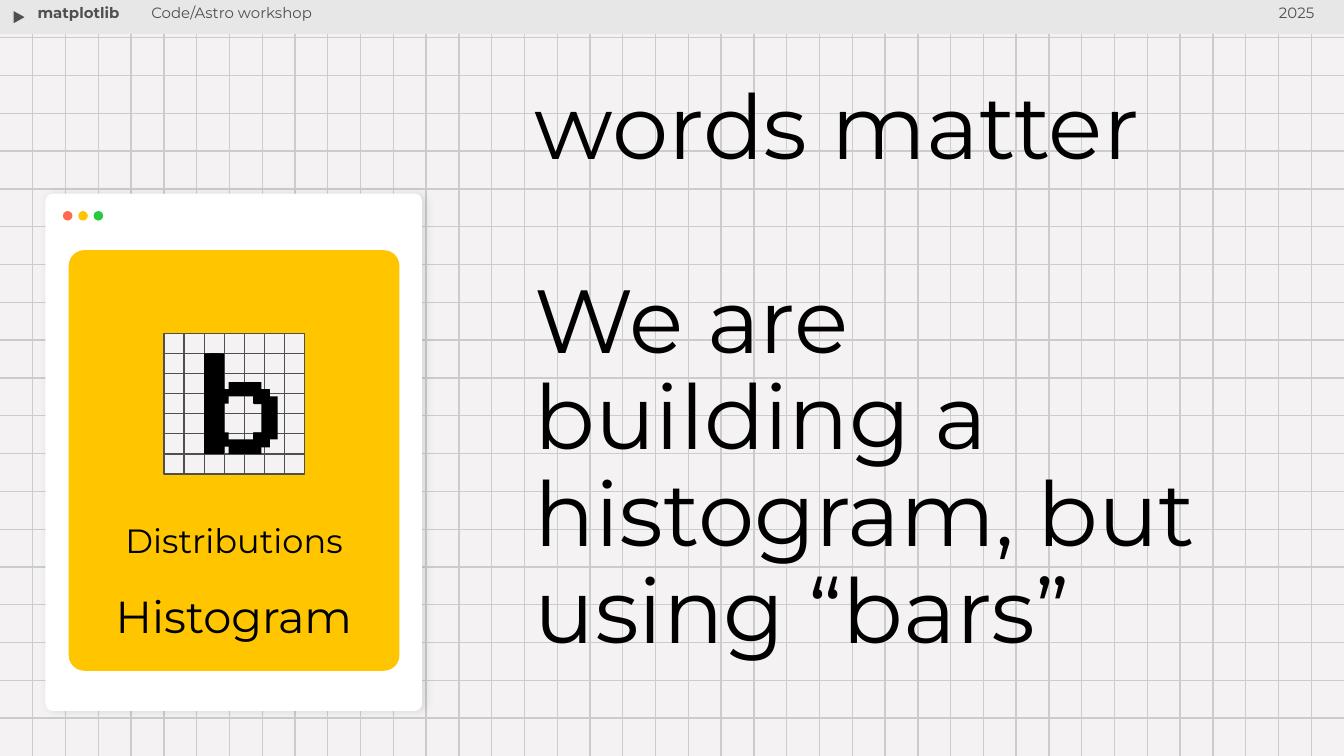
from dataclasses import dataclass

from lxml.etree import SubElement
from pptx import Presentation
from pptx.dml.color import RGBColor
from pptx.enum.shapes import MSO_CONNECTOR, MSO_SHAPE as Preset
from pptx.enum.text import PP_ALIGN as Align
from pptx.oxml.ns import qn
from pptx.util import Cm, Pt

WIDTH, HEIGHT = 25.4, 14.29
FONT = "Montserrat"
BLACK, GRAY, PAPER, YELLOW = "000000", "4F4F4F", "F4F2F2", "FFC600"
BAR, GRID = "E7E7E7", "CCCCCC"


@dataclass
class Box:
    """Left, top, width and height in centimetres."""
    left: float
    top: float
    width: float
    height: float

    def lengths(self) -> tuple:
        return Cm(self.left), Cm(self.top), Cm(self.width), Cm(self.height)


@dataclass
class Label:
    text: str
    box: Box
    size: int
    color: str = BLACK
    bold: bool = False
    align: Align = Align.LEFT


def paint(color_format, value: str) -> None:
    color_format.rgb = RGBColor.from_string(value)


def style(shape, fill: str, line: str | None = None) -> None:
    shape.shadow.inherit = False
    shape.fill.solid()
    paint(shape.fill.fore_color, fill)
    if line:
        paint(shape.line.color, line)
        shape.line.width = Pt(0.75)
    else:
        shape.line.fill.background()


def add_preset(slide, kind: Preset, box: Box, fill: str,
               line: str | None = None, corner: float | None = None):
    shape = slide.shapes.add_shape(kind, *box.lengths())
    style(shape, fill, line)
    if corner is not None:
        shape.adjustments[0] = corner
    return shape


def add_line(slide, x1: float, y1: float, x2: float, y2: float, color: str) -> None:
    line = slide.shapes.add_connector(
        MSO_CONNECTOR.STRAIGHT, Cm(x1), Cm(y1), Cm(x2), Cm(y2))
    paint(line.line.color, color)
    line.line.width = Pt(0.75)
    SubElement(line._element.spPr, qn("a:effectLst"))


def add_text(slide, text: str, box: Box, *, size: int, color: str = BLACK,
             bold: bool = False, align: Align = Align.LEFT,
             line_spacing: float | None = None, gap: float = 0) -> None:
    """Write one paragraph per line of text, with gap points between them."""
    frame = slide.shapes.add_textbox(*box.lengths()).text_frame
    frame.word_wrap = True
    frame.margin_left = frame.margin_right = Cm(0.25)
    frame.margin_top = frame.margin_bottom = Cm(0.25)
    frame.text = text
    for index, paragraph in enumerate(frame.paragraphs):
        paragraph.alignment = align
        paragraph.line_spacing = line_spacing
        if index and gap:
            paragraph.space_before = Pt(gap)
        font = paragraph.runs[0].font
        font.name, font.size, font.bold = FONT, Pt(size), bold
        paint(font.color, color)


def add_soft_shadow(shape) -> None:
    effects = shape._element.spPr.find(qn("a:effectLst"))
    shadow = SubElement(effects, qn("a:outerShdw"), blurRad=str(Pt(4.5)),
                        dist=str(Pt(1.5)), dir="0", algn="bl", rotWithShape="0")
    black = SubElement(shadow, qn("a:srgbClr"), val=BLACK)
    SubElement(black, qn("a:alpha"), val="11000")


def add_letter(slide, box: Box, columns: int, rows: int, outlines: list) -> None:
    """Draw a pixel letter; outlines hold (column, row) corners."""
    scale = (Cm(box.width) / columns, Cm(box.height) / rows)
    first, *holes = outlines
    builder = slide.shapes.build_freeform(*first[0], scale=scale)
    builder.add_line_segments(first[1:])
    for hole in holes:
        builder.move_to(*hole[0])
        builder.add_line_segments(hole[1:])
    style(builder.convert_to_shape(Cm(box.left), Cm(box.top)), BLACK)


def add_page(slide) -> None:
    slide.background.fill.solid()
    paint(slide.background.fill.fore_color, PAPER)
    rows, columns = 20, 41
    for row in range(1, rows):
        y = row * HEIGHT / rows
        add_line(slide, 0, y, WIDTH, y, GRID)
    for column in range(1, columns):
        x = column * WIDTH / columns
        add_line(slide, x, 0, x, HEIGHT, GRID)
    add_preset(slide, Preset.RECTANGLE, Box(0, 0, WIDTH, 0.64), BAR)
    play = add_preset(slide, Preset.ISOSCELES_TRIANGLE,
                      Box(0.23, 0.2, 0.28, 0.25), GRAY, BAR)
    play.rotation = 90


def add_window(slide) -> None:
    window = add_preset(slide, Preset.ROUNDED_RECTANGLE,
                        Box(0.86, 3.66, 7.12, 9.78), "FFFFFF", corner=0.02)
    add_soft_shadow(window)
    add_preset(slide, Preset.ROUNDED_RECTANGLE,
               Box(1.3, 4.73, 6.25, 7.95), YELLOW, corner=0.047)
    for index, color in enumerate(("FF6B4D", YELLOW, "28C840")):
        add_preset(slide, Preset.OVAL,
                   Box(1.19 + 0.29 * index, 3.99, 0.18, 0.18), color)


def add_letter_icon(slide) -> None:
    left, top, cell, count = 3.1, 6.3, 0.38, 7
    side = cell * count
    add_preset(slide, Preset.RECTANGLE, Box(left, top, side, side), PAPER, GRAY)
    for index in range(1, count):
        x, y = left + index * cell, top + index * cell
        add_line(slide, x, top, x, top + side, GRAY)
        add_line(slide, left, y, left + side, y, GRAY)

    # Letter b: outer outline, counter, then its thicker stem and corners
    outer = [(0, 14), (0, 0), (2, 0), (2, 5), (3, 5), (3, 4), (7, 4), (7, 5),
             (8, 5), (8, 6), (9, 6), (9, 12), (8, 12), (8, 13), (7, 13),
             (7, 14), (3, 14), (3, 13), (2, 13), (2, 14)]
    counter = [(6, 12), (6, 11), (7, 11), (7, 7), (6, 7), (6, 6), (3, 6),
               (3, 7), (2, 7), (2, 11), (3, 11), (3, 12)]
    letter = Box(left + 2 * cell, top + cell, 1.39, 1.9)
    add_letter(slide, letter, 9, 14, [outer, counter])
    for part in (Box(3.96, letter.top, 0.28, letter.height),
                 Box(4.8, 7.36, 0.3, 0.28), Box(4.8, 8.18, 0.3, 0.28)):
        add_preset(slide, Preset.RECTANGLE, part, BLACK)


LABELS = [
    Label("matplotlib", Box(0.46, -0.1, 3.25, 0.86), 8, GRAY, bold=True),
    Label("Code/Astro workshop", Box(2.61, -0.1, 10.6, 1.2), 8, GRAY),
    Label("2025", Box(20.85, -0.1, 4.24, 1.88), 8, GRAY, align=Align.RIGHT),
    Label("Distributions", Box(1.3, 9.58, 6.25, 1.27), 18, align=Align.CENTER),
    Label("Histogram", Box(1.73, 10.87, 5.38, 1.55), 24, align=Align.CENTER),
]


def main() -> None:
    deck = Presentation()
    deck.slide_width, deck.slide_height = Cm(WIDTH), Cm(HEIGHT)
    slide = deck.slides.add_slide(deck.slide_layouts[6])
    add_page(slide)
    add_window(slide)
    add_letter_icon(slide)
    for label in LABELS:
        add_text(slide, label.text, label.box, size=label.size,
                 color=label.color, bold=label.bold, align=label.align)
    add_text(slide, "words matter\nWe are building a histogram, but using “bars”",
             Box(9.86, 1.3, 13.56, 11.61), size=48, line_spacing=0.9, gap=52)
    deck.save("out.pptx")


if __name__ == "__main__":
    main()
